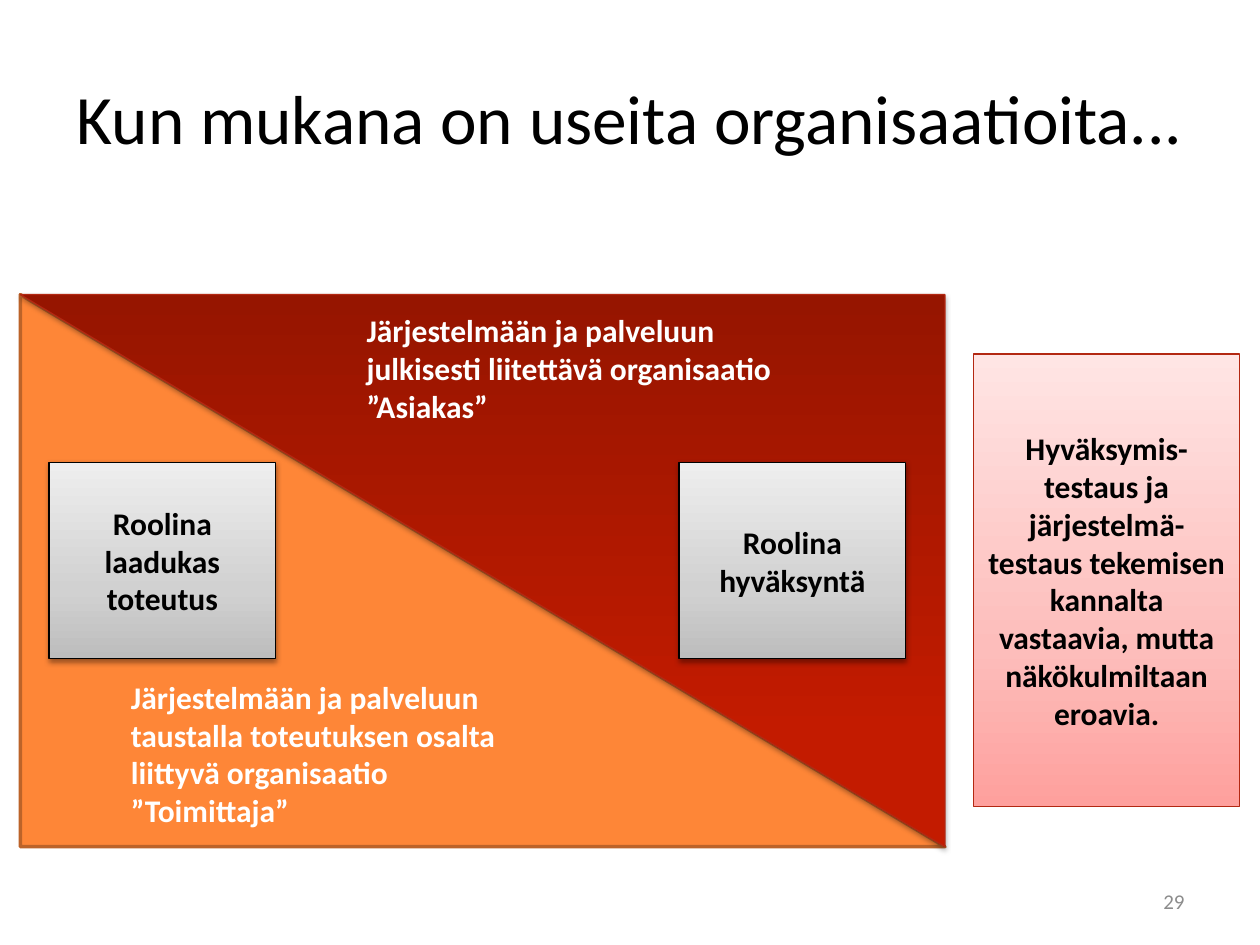
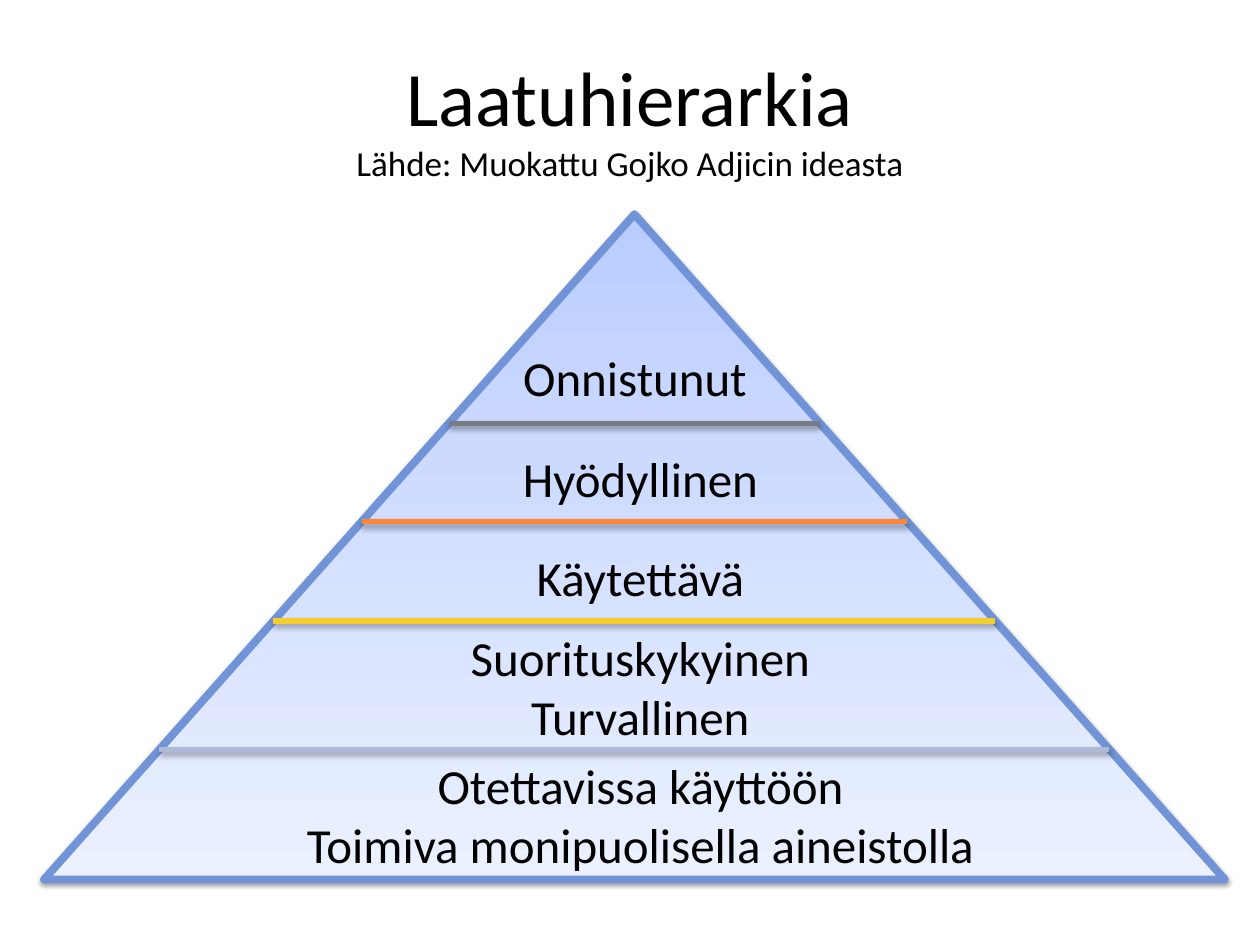
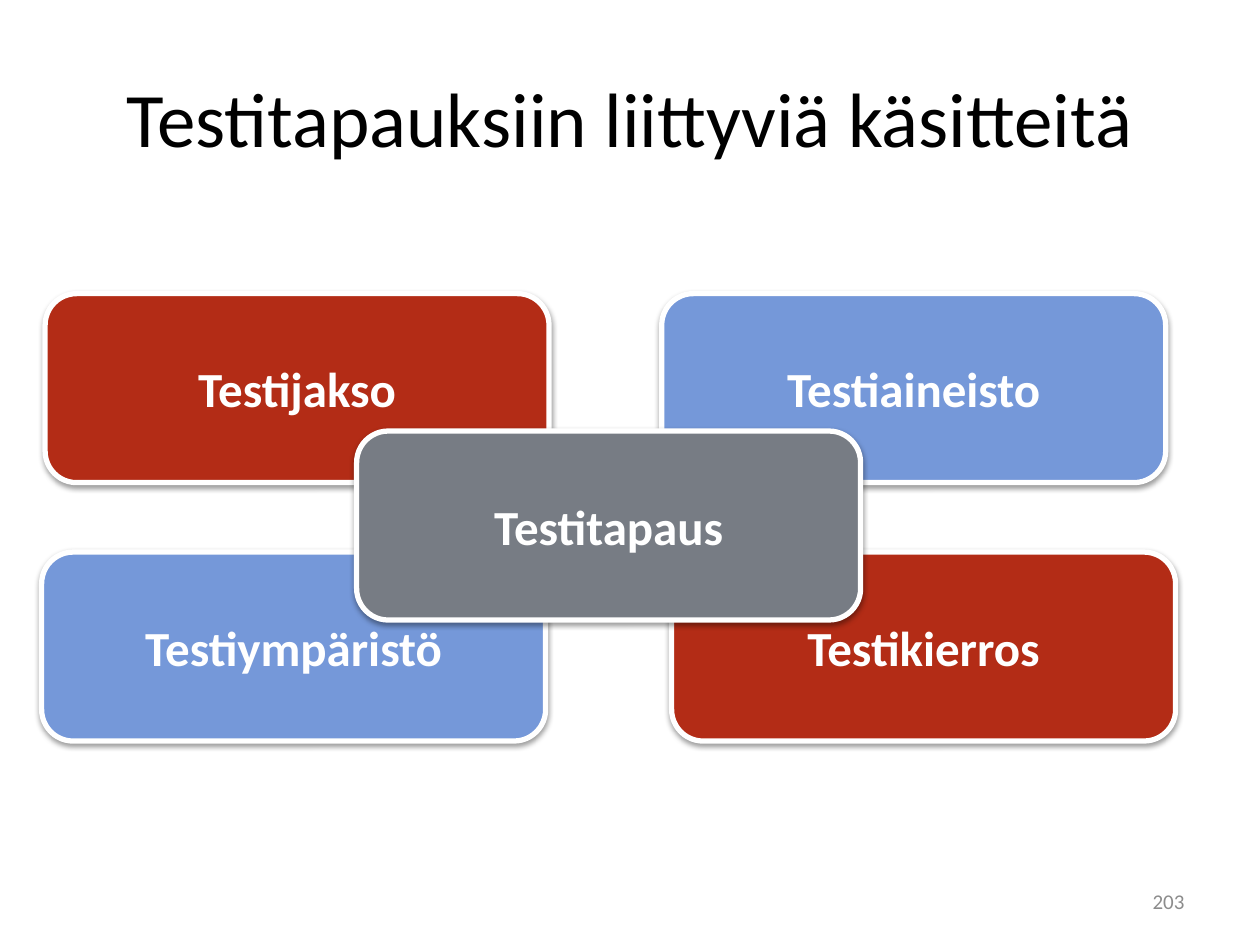
from copy import deepcopy

from pptx import Presentation
from pptx.dml.color import RGBColor
from pptx.enum.shapes import MSO_CONNECTOR, MSO_SHAPE
from pptx.enum.text import MSO_ANCHOR, MSO_AUTO_SIZE, PP_ALIGN
from pptx.oxml import parse_xml
from pptx.oxml.ns import nsdecls, qn
from pptx.util import Cm, Pt

# Shared colours
BLACK = RGBColor(0x00, 0x00, 0x00)
WHITE = RGBColor(0xFF, 0xFF, 0xFF)
NUMBER_GREY = RGBColor(0x8C, 0x8C, 0x8C)
ORANGE = RGBColor(0xFE, 0x86, 0x37)
DARK_ORANGE = RGBColor(0xBC, 0x63, 0x29)
BRICK = RGBColor(0xB3, 0x2C, 0x16)
BRICK_LINE = RGBColor(0xB3, 0x28, 0x12)
BLUE = RGBColor(0x75, 0x98, 0xD9)
BLUE_LINE = RGBColor(0x70, 0x94, 0xD7)
PALE_BLUE = RGBColor(0xAE, 0xBA, 0xD5)
YELLOW = RGBColor(0xF5, 0xCD, 0x2D)
SLATE = RGBColor(0x77, 0x7C, 0x84)

# Gradients: stops as (position, colour)
RED_STOPS = [(0, RGBColor(0x96, 0x15, 0x00)), (0.8, RGBColor(0xC3, 0x1B, 0x00)),
             (1, RGBColor(0xC4, 0x1B, 0x00))]
GREY_STOPS = [(0, RGBColor(0xBD, 0xBD, 0xBD)), (0.35, RGBColor(0xD1, 0xD1, 0xD1)),
              (1, RGBColor(0xEE, 0xEE, 0xEE))]
PINK_STOPS = [(0, RGBColor(0xFE, 0xA0, 0x9D)), (0.35, RGBColor(0xFD, 0xBD, 0xBB)),
              (1, RGBColor(0xFF, 0xE5, 0xE4))]
BLUE_STOPS = [(0, RGBColor(0xB8, 0xCC, 0xFF)), (0.35, RGBColor(0xCC, 0xDA, 0xFF)),
              (1, RGBColor(0xEB, 0xF1, 0xFF))]

# Shadows: opacity in percent and distance in points
SHAPE_SHADOW = (38, 1.6)
LINE_SHADOW = (35, 1.8)


def paint(shape, line_color, line_width, fill=None, angle=90, shadow=None):
    """Set fill (one colour or gradient stops), outline and shadow."""
    if isinstance(fill, list):
        shape.fill.gradient()
        shape.fill.gradient_angle = angle
        stop_list = shape.element.spPr.find(qn("a:gradFill")).find(qn("a:gsLst"))
        stop_list.append(deepcopy(stop_list[0]))
        for stop, (position, color) in zip(shape.fill.gradient_stops, fill):
            stop.position = position
            stop.color.rgb = color
    elif fill is not None:
        shape.fill.solid()
        shape.fill.fore_color.rgb = fill
    shape.line.color.rgb = line_color
    shape.line.width = Pt(line_width)
    effects = parse_xml(f"<a:effectLst {nsdecls('a')}/>")
    if shadow:
        opacity, distance = shadow
        effects.append(parse_xml(
            f'<a:outerShdw {nsdecls("a")} blurRad="{Pt(3.1)}" dist="{Pt(distance)}" '
            f'dir="5400000" rotWithShape="0"><a:srgbClr val="000000">'
            f'<a:alpha val="{opacity * 1000}"/></a:srgbClr></a:outerShdw>'))
    shape.element.spPr.append(effects)


def write(shape, lines, size, color=BLACK, bold=False, align=PP_ALIGN.CENTER,
          anchor=MSO_ANCHOR.MIDDLE, wrap=True, auto_size=MSO_AUTO_SIZE.NONE):
    """Write one paragraph per line in a single format."""
    frame = shape.text_frame
    frame_format = {"word_wrap": wrap, "auto_size": auto_size, "vertical_anchor": anchor}
    for name, value in frame_format.items():
        setattr(frame, name, value)
    font_format = {"name": "Calibri", "size": Pt(size), "bold": bold}
    for index, line in enumerate(lines):
        para = frame.add_paragraph() if index else frame.paragraphs[0]
        para.alignment = align
        span = para.add_run()
        span.text = line
        for name, value in font_format.items():
            setattr(span.font, name, value)
        span.font.color.rgb = color


deck = Presentation()
deck.slide_width, deck.slide_height = Cm(25.4), Cm(19.05)

# Titles and page numbers
pages = []
for heading, size, number in [
    ("Kun mukana on useita organisaatioita...", 39.6, "29"),
    ("Laatuhierarkia", 44, None),
    ("Testitapauksiin liittyviä käsitteitä", 44, "203"),
]:
    page = deck.slides.add_slide(deck.slide_layouts[5])
    title = page.shapes.title
    title_place = {"left": Cm(1.27), "top": Cm(0.76), "width": Cm(22.86), "height": Cm(3.18)}
    for name, value in title_place.items():
        setattr(title, name, value)
    write(title, [heading], size)
    if number:
        box = page.shapes.add_textbox(Cm(18.21), Cm(17.65), Cm(5.92), Cm(1.02))
        write(box, [number], 12, NUMBER_GREY, align=PP_ALIGN.RIGHT)
    pages.append(page)
organisations, hierarchy, concepts = pages

# Organisations: two triangles forming a rectangle
group = organisations.shapes.add_group_shape()
supplier, customer = [
    group.shapes.add_shape(MSO_SHAPE.RIGHT_TRIANGLE, Cm(0.41), Cm(5.94), Cm(18.64), Cm(11.13))
    for _ in range(2)
]
paint(supplier, DARK_ORANGE, 2, ORANGE)
paint(customer, BRICK_LINE, 0.75, RED_STOPS, shadow=LINE_SHADOW)
for flip in ("flipH", "flipV"):
    customer.element.spPr.xfrm.set(flip, "1")

for left, top, height, lines in [
    (7.14, 6.15, 2.57,
     ["Järjestelmään ja palveluun julkisesti liitettävä organisaatio", "”Asiakas”"]),
    (2.39, 13.54, 3.33,
     ["Järjestelmään ja palveluun taustalla toteutuksen osalta liittyvä organisaatio",
      "”Toimittaja”"]),
]:
    box = organisations.shapes.add_textbox(Cm(left), Cm(top), Cm(9.32), Cm(height))
    write(box, lines, 18, WHITE, True, PP_ALIGN.LEFT, MSO_ANCHOR.TOP,
          auto_size=MSO_AUTO_SIZE.SHAPE_TO_FIT_TEXT)

# Organisations: roles and the remark beside them
for left, top, width, height, stops, line_color, shadow, text in [
    (13.69, 9.32, 4.57, 3.96, GREY_STOPS, BLACK, SHAPE_SHADOW, "Roolina hyväksyntä"),
    (0.99, 9.32, 4.57, 3.96, GREY_STOPS, BLACK, SHAPE_SHADOW, "Roolina laadukas toteutus"),
    (19.63, 7.14, 5.36, 9.12, PINK_STOPS, BRICK_LINE, None,
     "Hyväksymis-testaus ja järjestelmä-testaus tekemisen kannalta vastaavia, "
     "mutta näkökulmiltaan eroavia."),
]:
    box = organisations.shapes.add_shape(
        MSO_SHAPE.RECTANGLE, Cm(left), Cm(top), Cm(width), Cm(height))
    paint(box, line_color, 0.75, stops, shadow=shadow)
    write(box, [text], 18, bold=True)

# Hierarchy: source line under the title
para = hierarchy.shapes.title.text_frame.paragraphs[0]
para.add_line_break()
span = para.add_run()
span.text = "Lähde: Muokattu Gojko Adjicin ideasta"
span.font.name, span.font.size = "Calibri", Pt(20)
span.font.color.rgb = BLACK

# Hierarchy: pyramid with dividers reaching its sides
LEFT, TOP, WIDTH, HEIGHT = 0.89, 4.32, 23.8, 13.41
pyramid = hierarchy.shapes.add_shape(
    MSO_SHAPE.ISOSCELES_TRIANGLE, Cm(LEFT), Cm(TOP), Cm(WIDTH), Cm(HEIGHT))
paint(pyramid, BLUE_LINE, 4.5, BLUE_STOPS, angle=270, shadow=SHAPE_SHADOW)
center = LEFT + WIDTH / 2
for level, color in [(15.11, PALE_BLUE), (12.52, YELLOW), (10.52, ORANGE), (8.53, SLATE)]:
    reach = (level - TOP) / HEIGHT * WIDTH / 2
    divider = hierarchy.shapes.add_connector(
        MSO_CONNECTOR.STRAIGHT, Cm(center - reach), Cm(level), Cm(center + reach), Cm(level))
    paint(divider, color, 3, shadow=LINE_SHADOW)

for left, top, height, lines in [
    (3.51, 15.11, 2.64, ["Otettavissa käyttöön", "Toimiva monipuolisella aineistolla"]),
    (3.51, 12.52, 2.64, ["Suorituskykyinen", "Turvallinen"]),
    (3.51, 10.92, 1.45, ["Käytettävä"]),
    (3.51, 8.92, 1.45, ["Hyödyllinen"]),
    (3.4, 6.88, 1.45, ["Onnistunut"]),
]:
    box = hierarchy.shapes.add_textbox(Cm(left), Cm(top), Cm(18.8), Cm(height))
    write(box, lines, 28, anchor=MSO_ANCHOR.TOP, auto_size=MSO_AUTO_SIZE.SHAPE_TO_FIT_TEXT)

# Concepts: four cards with the test case on top
for left, top, color, text in [
    (13.54, 11.13, BRICK, "Testikierros"),
    (0.84, 11.13, BLUE, "Testiympäristö"),
    (0.91, 5.92, BRICK, "Testijakso"),
    (13.34, 5.92, BLUE, "Testiaineisto"),
    (7.19, 8.69, SLATE, "Testitapaus"),
]:
    card = concepts.shapes.add_shape(
        MSO_SHAPE.ROUNDED_RECTANGLE, Cm(left), Cm(top), Cm(10.16), Cm(3.81))
    paint(card, WHITE, 3, color, shadow=SHAPE_SHADOW)
    write(card, [text], 28, WHITE, True, wrap=False)

deck.save("out.pptx")
